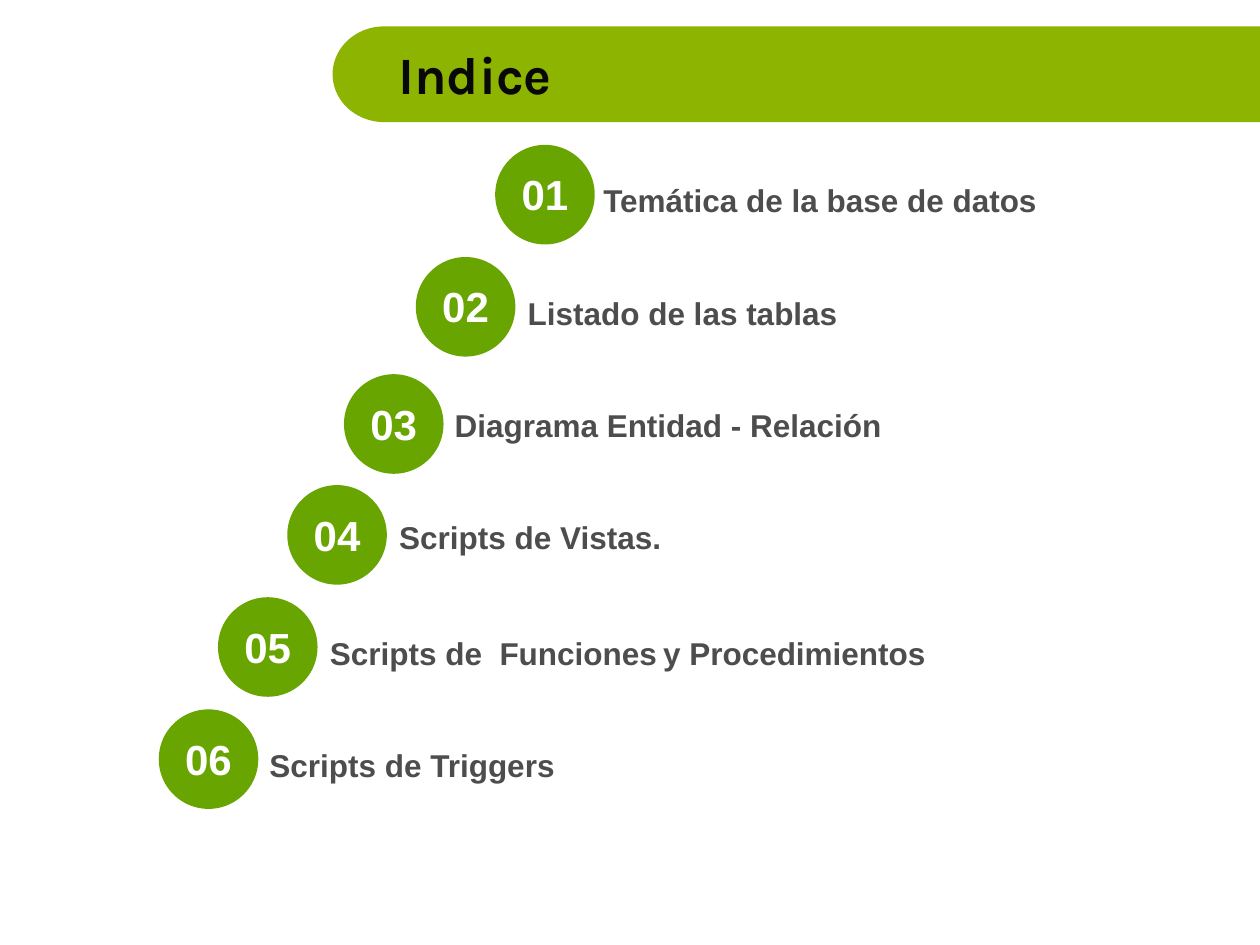
from math import cos, pi, sin

from pptx import Presentation
from pptx.dml.color import RGBColor
from pptx.enum.shapes import MSO_SHAPE
from pptx.enum.text import MSO_ANCHOR, MSO_AUTO_SIZE, PP_ALIGN
from pptx.util import Inches, Pt

LIME = RGBColor(0x8C, 0xB4, 0x00)
GREEN = RGBColor(0x68, 0xA5, 0x00)
BLACK = RGBColor(0x08, 0x08, 0x08)
GRAY = RGBColor(0x4D, 0x4D, 0x4D)
LIGHT_GRAY = RGBColor(0x7A, 0x7A, 0x7A)
WHITE = RGBColor(0xFF, 0xFF, 0xFF)

HEADING = {"name": "Karla", "size": Pt(30), "bold": True}
NUMBER = {"name": "Arial", "size": Pt(24), "bold": True}
LABEL = {"name": "Arial", "size": Pt(18), "bold": True}
SPACER = {"name": "Arial", "size": Pt(12), "bold": True}
FRAME = {
    "word_wrap": True,
    "auto_size": MSO_AUTO_SIZE.NONE,
    "vertical_anchor": MSO_ANCHOR.MIDDLE,
}

DIAMETER = 0.79
NUMBER_DROP = 0.14

ENTRIES = [
    (3.93, 1.15, 4.69, 1.39, 5.04, ["Temática de la base de datos"]),
    (3.3, 2.04, 4.09, 2.28, 5.04, ["Listado de las tablas"]),
    (2.73, 2.97, 3.51, 3.17, 5.04, ["Diagrama Entidad - Relación"]),
    (2.28, 3.85, 3.07, 4.06, 5.04, ["Scripts de Vistas."]),
    (1.73, 4.74, 2.52, 4.98, 6.74,
     ["Scripts de  Funciones", " ", "y Procedimientos"]),
    (1.26, 5.63, 2.04, 5.87, 6.74, ["Scripts de Triggers"]),
]


def apply_format(target, values):
    for attribute, value in values.items():
        setattr(target, attribute, value)


def paint(shape, color):
    shape.shadow.inherit = False
    shape.fill.solid()
    shape.fill.fore_color.rgb = color
    shape.line.fill.background()


def write(shape, runs, align=PP_ALIGN.LEFT):
    apply_format(shape.text_frame, FRAME)
    paragraph = shape.text_frame.paragraphs[0]
    paragraph.alignment = align
    for text, style, color in runs:
        run = paragraph.add_run()
        run.text = text
        apply_format(run.font, style)
        run.font.color.rgb = color


def add_text(slide, left, top, width, height, runs, align=PP_ALIGN.LEFT):
    box = slide.shapes.add_textbox(
        Inches(left), Inches(top), Inches(width), Inches(height))
    write(box, runs, align)


def add_banner(slide):
    left, right, top, bottom = 2.64, 10, 0.21, 0.97
    radius_x, radius_y = 0.41, (bottom - top) / 2
    steps = 60
    angles = [pi / 2 + pi * step / steps for step in range(steps + 1)]
    cap = [(left + radius_x + radius_x * cos(angle),
            top + radius_y + radius_y * sin(angle)) for angle in angles]
    outline = [(Inches(x), Inches(y)) for x, y in [(right, bottom)] + cap + [(right, top)]]
    builder = slide.shapes.build_freeform(*outline[0])
    builder.add_line_segments(outline[1:], close=True)
    banner = builder.convert_to_shape()
    paint(banner, LIME)
    return banner


def add_heading(slide, banner):
    heading = slide.shapes.title
    apply_format(heading, {
        "left": Inches(3.06), "top": Inches(0.27),
        "width": Inches(6.94), "height": Inches(0.63),
    })
    write(heading, [("Indice", HEADING, BLACK)])
    heading._element.addprevious(banner._element)


def add_entry(slide, number, entry):
    left, top, label_left, label_top, label_width, parts = entry
    circle = slide.shapes.add_shape(
        MSO_SHAPE.OVAL, Inches(left), Inches(top), Inches(DIAMETER), Inches(DIAMETER))
    paint(circle, GREEN)
    add_text(slide, left, top + NUMBER_DROP, DIAMETER, 0.5,
             [(f"{number:02d}", NUMBER, WHITE)], PP_ALIGN.CENTER)
    runs = [(part, LABEL, GRAY) if part.strip() else (part, SPACER, LIGHT_GRAY)
            for part in parts]
    add_text(slide, label_left, label_top, label_width, 0.4, runs)


def main():
    deck = Presentation()
    deck.slide_width, deck.slide_height = Inches(10), Inches(7.5)
    slide = deck.slides.add_slide(deck.slide_layouts[5])
    add_heading(slide, add_banner(slide))
    for number, entry in enumerate(ENTRIES, start=1):
        add_entry(slide, number, entry)
    deck.save("out.pptx")


if __name__ == "__main__":
    main()
